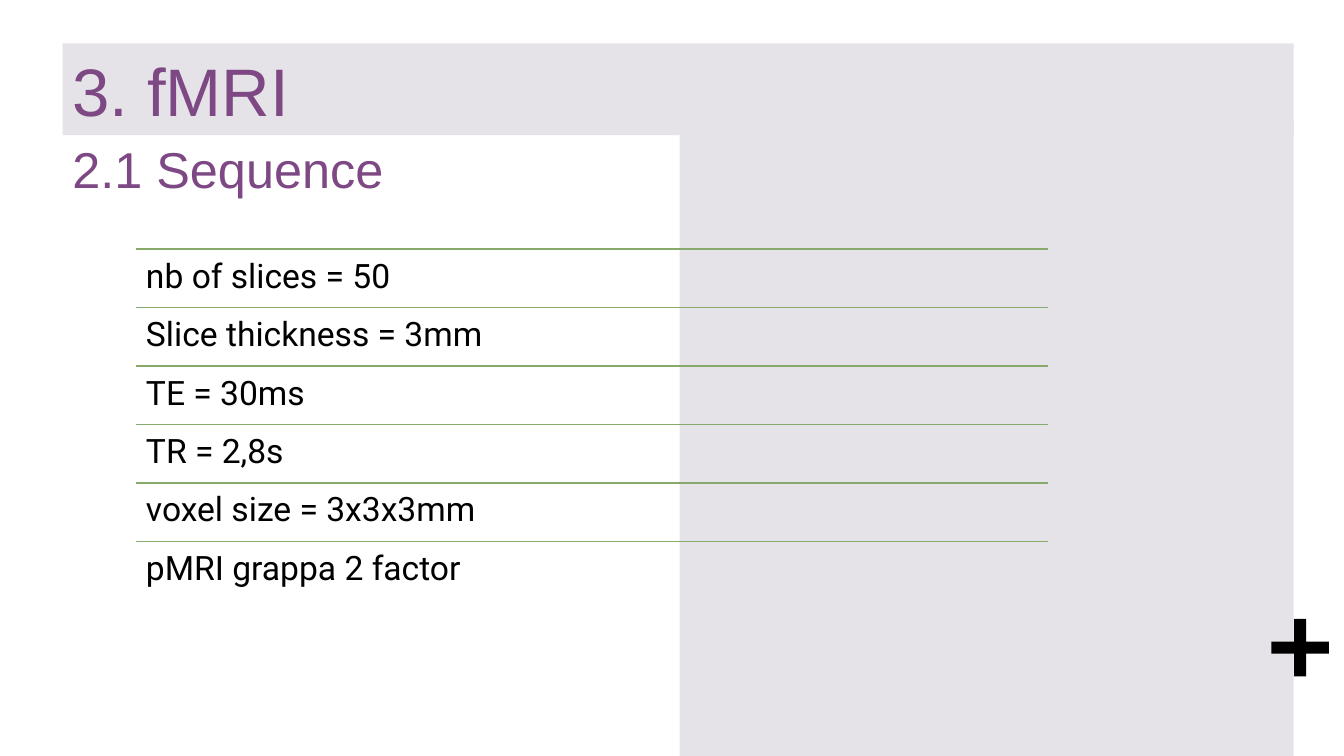
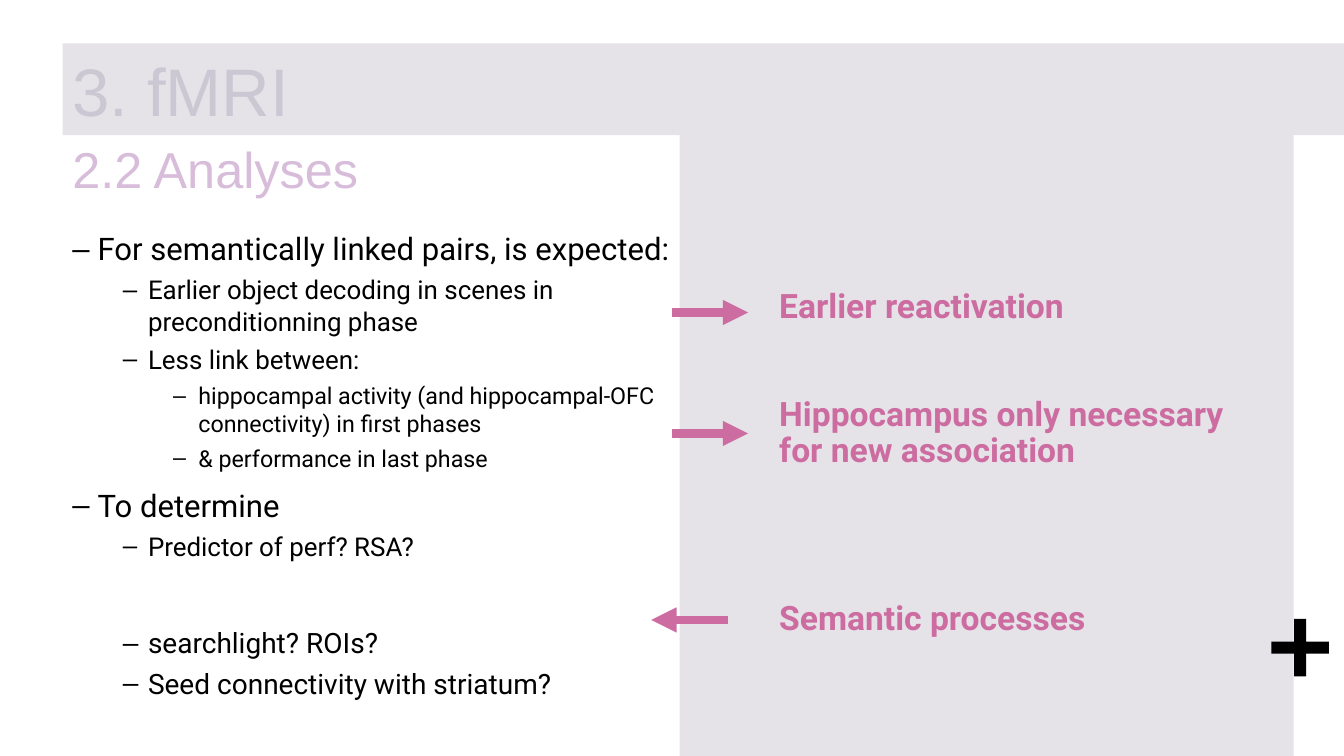
"""Build two slides on the fMRI sequence and its analyses."""
from lxml.etree import SubElement
from pptx import Presentation
from pptx.dml.color import RGBColor
from pptx.enum.shapes import MSO_CONNECTOR as Connector, MSO_SHAPE as Shape
from pptx.enum.text import MSO_ANCHOR as Anchor, PP_ALIGN as Align
from pptx.oxml.ns import qn
from pptx.util import Inches, Pt

PURPLE, PALE_PURPLE, PALE_GREY = "7D4883", "D8BDDB", "CBC8D4"
PINK, GREEN, BLACK, BAND = "CC6CA0", "87A96B", "000000", "E5E2E8"
HEADING_FONT, BODY_FONT = "Arial", "Roboto"
LEFT = 0.62
ROW_LEFT, ROW_TOP, ROW_WIDTH, ROW_HEIGHT = 1.35, 2.47, 9.04, 0.58

SEQUENCE = [
    "nb of slices = 50",
    "Slice thickness = 3mm",
    "TE = 30ms",
    "TR = 2,8s",
    "voxel size = 3x3x3mm",
    "pMRI grappa 2 factor",
]
EXPECTATIONS = [
    (0, "For semantically linked pairs, is expected:"),
    (1, "Earlier object decoding in scenes in preconditionning phase"),
    (1, "Less link between:"),
    (2, "hippocampal activity (and hippocampal-OFC connectivity) in first phases"),
    (2, "& performance in last phase"),
    (0, "To determine"),
    (1, "Predictor of perf? RSA?"),
]
LEVEL_SIZES = (22.2, 18.5, 16.6)
OPEN_QUESTIONS = [(6.16, "searchlight? ROIs?"), (6.56, "Seed connectivity with striatum?")]
CONCLUSIONS = [
    (2.78, "Earlier reactivation", 1),
    (3.89, "Hippocampus only necessary for new association", 0.9),
    (5.87, "Semantic processes", 1),
]
ARROWS = [(6.67, 7.42, 3.1), (6.67, 7.42, 4.3), (7.22, 6.46, 6.15)]


def rgb(color):
    """Turn a hex string into a colour."""
    return RGBColor.from_string(color)


def add_block(slide, preset, left, top, width, height, color):
    """Add a flat filled shape."""
    block = slide.shapes.add_shape(
        preset, Inches(left), Inches(top), Inches(width), Inches(height))
    block.shadow.inherit = False
    block.fill.solid()
    block.fill.fore_color.rgb = rgb(color)
    block.line.fill.background()
    return block


def add_line(slide, start, end, y, color, weight, arrow=False):
    """Add a horizontal line, with an arrowhead at its end if wanted."""
    line = slide.shapes.add_connector(
        Connector.STRAIGHT, Inches(start), Inches(y), Inches(end), Inches(y))
    line.line.color.rgb = rgb(color)
    line.line.width = Pt(weight)
    if arrow:
        SubElement(line.line._get_or_add_ln(), qn("a:tailEnd"), type="triangle")
    SubElement(line._element.spPr, qn("a:effectLst"))


def add_frame(slide, left, top, width, height, inset=None):
    """Add a wrapping text box and return its text frame."""
    frame = slide.shapes.add_textbox(
        Inches(left), Inches(top), Inches(width), Inches(height)).text_frame
    frame.word_wrap = True
    if inset is not None:
        frame.margin_left = frame.margin_right = Inches(inset)
        frame.margin_top = frame.margin_bottom = Inches(inset)
    return frame


def write(paragraph, text, size, color, font=BODY_FONT, bold=False, spacing=1):
    """Write one styled run into a paragraph."""
    paragraph.alignment = Align.LEFT
    paragraph.line_spacing = spacing
    run = paragraph.add_run()
    run.text = text
    run.font.size = Pt(size)
    run.font.name = font
    run.font.bold = bold
    run.font.color.rgb = rgb(color)


def add_dash(paragraph, level):
    """Give a paragraph a hanging dash at its level."""
    paragraph.level = level
    properties = paragraph._p.get_or_add_pPr()
    properties.set("marL", str(Inches(0.25 + 0.5 * level)))
    properties.set("indent", str(Inches(-0.25)))
    SubElement(properties, qn("a:buFont"), typeface=HEADING_FONT)
    SubElement(properties, qn("a:buChar"), char="–")


def add_outline(slide, top, width, height, items, sizes):
    """Add a dashed outline of (level, text) items."""
    frame = add_frame(slide, LEFT, top, width, height)
    for index, (level, text) in enumerate(items):
        paragraph = frame.add_paragraph() if index else frame.paragraphs[0]
        add_dash(paragraph, level)
        if index:
            paragraph.space_before = Pt(5 if level else 10)
        write(paragraph, text, sizes[level], BLACK)


def add_base(deck):
    """Add a slide with the side column and the plus sign."""
    slide = deck.slides.add_slide(deck.slide_layouts[6])
    add_block(slide, Shape.RECTANGLE, 6.74, 1.2, 6.09, 6.3, BAND)
    plus = add_block(slide, Shape.CROSS, 12.61, 6.14, 0.57, 0.57, BLACK)
    plus.adjustments[0] = 0.395
    return slide


def add_headings(slide, subtitle, band_width, title_color, subtitle_color):
    """Add the title band and the subtitle below it."""
    band = add_block(slide, Shape.RECTANGLE, LEFT, 0.43, band_width, 0.91, BAND)
    band.text_frame.vertical_anchor = Anchor.MIDDLE
    write(band.text_frame.paragraphs[0], "3. fMRI", 48, title_color, HEADING_FONT)
    frame = add_frame(slide, LEFT, 1.32, 9.04, 0.83)
    write(frame.paragraphs[0], subtitle, 36, subtitle_color, HEADING_FONT)


def build_sequence(deck):
    """Build the slide listing the sequence settings."""
    slide = add_base(deck)
    for index, setting in enumerate(SEQUENCE):
        top = ROW_TOP + index * ROW_HEIGHT
        add_line(slide, ROW_LEFT, ROW_LEFT + ROW_WIDTH, top, GREEN, 1)
        frame = add_frame(slide, ROW_LEFT, top, ROW_WIDTH, ROW_HEIGHT, 0.1)
        write(frame.paragraphs[0], setting, 24, BLACK, spacing=0.9)
    add_headings(slide, "2.1 Sequence", 12.21, PURPLE, PURPLE)


def build_analyses(deck):
    """Build the slide linking expectations to conclusions."""
    slide = add_base(deck)
    add_outline(slide, 2.23, 6.4, 3.64, EXPECTATIONS, LEVEL_SIZES)
    for top, conclusion, spacing in CONCLUSIONS:
        frame = add_frame(slide, 7.63, top, 5.09, 0.83)
        write(frame.paragraphs[0], conclusion, 24, PINK, bold=True, spacing=spacing)
    for start, end, y in ARROWS:
        add_line(slide, start, end, y, PINK, 6, arrow=True)
    add_headings(slide, "2.2 Analyses", 12.71, PALE_GREY, PALE_PURPLE)
    for top, question in OPEN_QUESTIONS:
        add_outline(slide, top, 5.47, 0.45, [(1, question)], (20, 20))


def main():
    """Build and save the deck."""
    deck = Presentation()
    deck.slide_width, deck.slide_height = Inches(13.33), Inches(7.5)
    build_sequence(deck)
    build_analyses(deck)
    deck.save("out.pptx")


if __name__ == "__main__":
    main()
